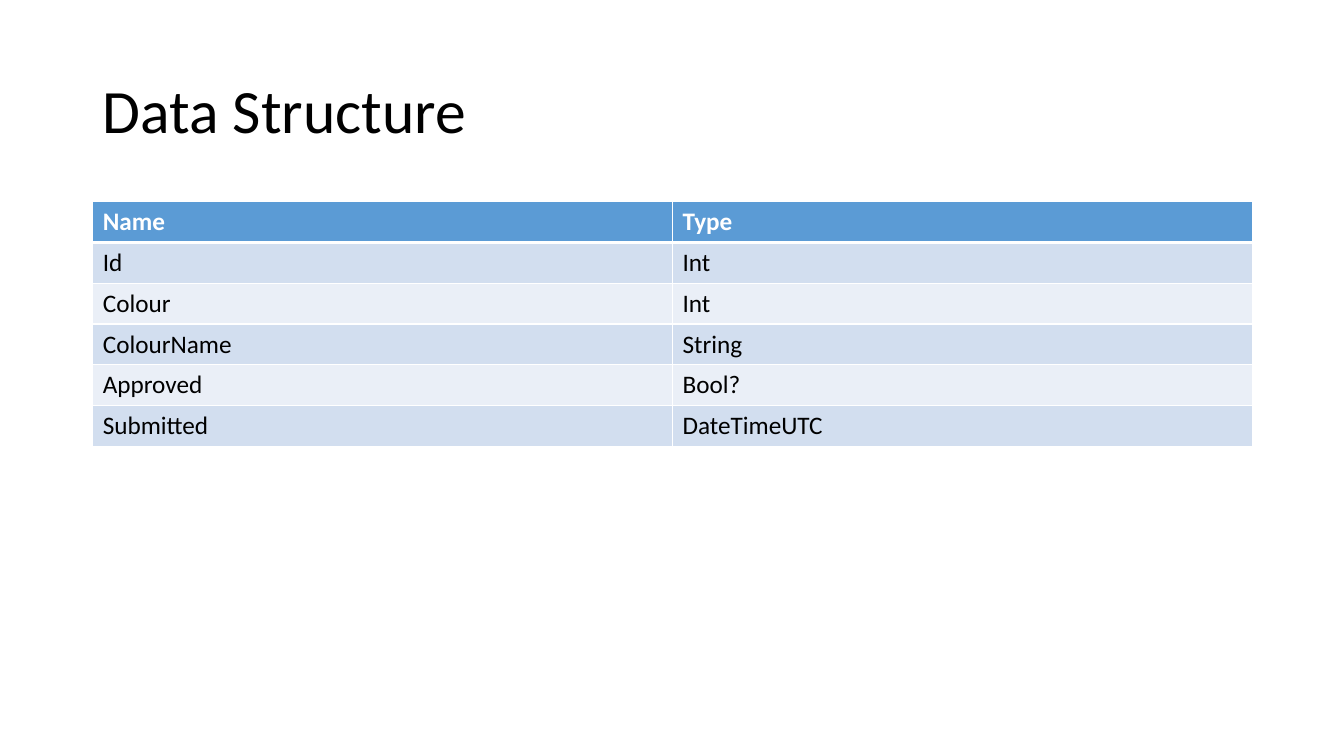
from dataclasses import dataclass

from lxml import etree
from pptx import Presentation
from pptx.dml.color import RGBColor
from pptx.enum.text import MSO_ANCHOR
from pptx.oxml.ns import qn
from pptx.util import Inches, Pt

MIDDLE = MSO_ANCHOR.MIDDLE
TOP = MSO_ANCHOR.TOP
BLANK_LAYOUT = 6


@dataclass(frozen=True)
class Theme:
    font: str = "Calibri"
    title_size: int = 44
    table_size: int = 18
    text: str = "000000"
    header_text: str = "FFFFFF"
    header_fill: str = "5B9BD5"
    band_fills: tuple = ("D2DEEF", "EAEFF7")
    border: str = "FFFFFF"
    border_width: int = 1
    header_border_width: int = 3


def write_text(text_frame, text, *, font, size, color, bold=False, line_spacing=None):
    """Write one formatted paragraph into a text frame."""
    paragraph = text_frame.paragraphs[0]
    if line_spacing:
        paragraph.line_spacing = line_spacing
    run = paragraph.add_run()
    run.text = text
    run.font.name = font
    run.font.size = Pt(size)
    run.font.bold = bold
    run.font.color.rgb = RGBColor.from_string(color)


class SlideBuilder:
    def __init__(self, slide, theme):
        self.slide = slide
        self.theme = theme

    def title(self, text, left, top, width, height):
        shape = self.slide.shapes.add_textbox(
            Inches(left), Inches(top), Inches(width), Inches(height))
        text_frame = shape.text_frame
        text_frame.word_wrap = True
        text_frame.vertical_anchor = MIDDLE
        write_text(text_frame, text, font=self.theme.font, size=self.theme.title_size,
                   color=self.theme.text, line_spacing=0.9)

    def table(self, rows, left, top, width, height):
        shape = self.slide.shapes.add_table(
            len(rows), len(rows[0]), Inches(left), Inches(top),
            Inches(width), Inches(height))
        for row_index, row in enumerate(rows):
            for column_index, text in enumerate(row):
                self.cell(shape.table.cell(row_index, column_index), text, row_index)

    def cell(self, cell, text, row_index):
        theme = self.theme
        is_header = row_index == 0
        # The thick rule is shared by the header and the first body row
        top_width = theme.header_border_width if row_index == 1 else theme.border_width
        bottom_width = theme.header_border_width if is_header else theme.border_width
        self.borders(cell, {"a:lnL": theme.border_width, "a:lnR": theme.border_width,
                            "a:lnT": top_width, "a:lnB": bottom_width})
        fill = theme.header_fill if is_header else theme.band_fills[(row_index - 1) % 2]
        cell.fill.solid()
        cell.fill.fore_color.rgb = RGBColor.from_string(fill)
        cell.vertical_anchor = TOP
        write_text(cell.text_frame, text, font=theme.font, size=theme.table_size,
                   color=theme.header_text if is_header else theme.text, bold=is_header)

    def borders(self, cell, widths):
        properties = cell._tc.get_or_add_tcPr()
        for tag, width in widths.items():
            line = etree.SubElement(properties, qn(tag), w=str(Pt(width)))
            solid_fill = etree.SubElement(line, qn("a:solidFill"))
            etree.SubElement(solid_fill, qn("a:srgbClr"), val=self.theme.border)


FIELDS = [
    ("Name", "Type"),
    ("Id", "Int"),
    ("Colour", "Int"),
    ("ColourName", "String"),
    ("Approved", "Bool?"),
    ("Submitted", "DateTimeUTC"),
]


def main():
    presentation = Presentation()
    presentation.slide_width = Inches(13.33)
    presentation.slide_height = Inches(7.5)
    slide = presentation.slides.add_slide(presentation.slide_layouts[BLANK_LAYOUT])
    builder = SlideBuilder(slide, Theme())

    # Heading
    builder.title("Data Structure", 0.92, 0.4, 11.5, 1.45)

    # Field names and their types
    builder.table(FIELDS, 0.92, 2, 11.5, 2.43)

    presentation.save("out.pptx")


if __name__ == "__main__":
    main()
